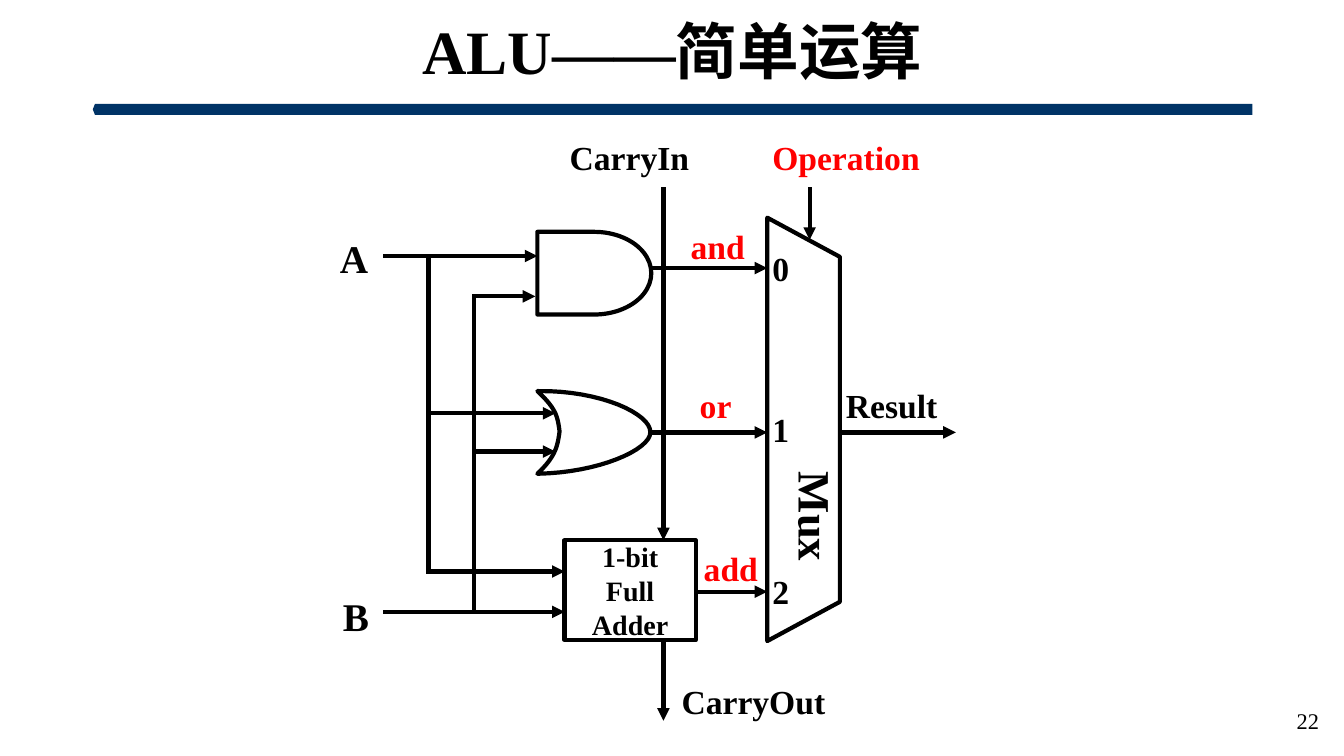
"""Build the slide that shows a one-bit ALU for simple operations."""
from lxml import etree
from pptx import Presentation, util as u
from pptx.dml.color import RGBColor
from pptx.enum import shapes, text
from pptx.oxml.ns import qn

PX = 9144
FONT = "Times New Roman"
BLACK = RGBColor(0x00, 0x00, 0x00)
WHITE = RGBColor(0xFF, 0xFF, 0xFF)
RED = RGBColor(0xFF, 0x00, 0x00)
NAVY = RGBColor(0x00, 0x33, 0x66)
STROKE = u.Pt(3)
KIND = shapes.MSO_SHAPE
LEFT, CENTER, RIGHT = text.PP_ALIGN.LEFT, text.PP_ALIGN.CENTER, text.PP_ALIGN.RIGHT

TRUNK_A, TRUNK_B = 425, 470
MUX_LEFT, MUX_RIGHT = 761, 833
CARRY_X = 658
OR_START = (533, 388)
OR_CURVES = [
    [(596, 387), (646, 411), (645, 429)],
    [(645, 446), (594, 469), (533, 470)],
    [(551, 453), (553, 443), (555, 428)],
    [(553, 412), (551, 405), (533, 388)],
]
ARROWS = [
    (380, 254, 533, 254),
    (380, 607, 560, 607),
    (TRUNK_A, 410, 551, 410),
    (TRUNK_A, 567, 560, 567),
    (TRUNK_B, 448, 551, 448),
    (TRUNK_B, 294, 531, 294),
    (CARRY_X, 186, CARRY_X, 536),
    (CARRY_X, 635, CARRY_X, 715),
    (645, 266, MUX_LEFT, 266),
    (645, 429, MUX_LEFT, 429),
    (690, 587, MUX_LEFT, 587),
    (MUX_RIGHT, 429, 948, 429),
    (803, 186, 803, 238),
]
LABELS = [
    ("CarryIn", 565, 136, 24, BLACK),
    ("Operation", 766, 136, 24, RED),
    ("and", 685, 224, 24, RED),
    ("or", 694, 382, 24, RED),
    ("add", 698, 544, 24, RED),
    ("Result", 839, 382, 24, BLACK),
    ("CarryOut", 676, 676, 24, BLACK),
    ("A", 337, 232, 28, BLACK),
    ("B", 340, 587, 28, BLACK),
]


def scaled(*lengths):
    """Turn px lengths into EMU."""
    return [u.Emu(round(length * PX)) for length in lengths]


def apply(target, values):
    """Set every attribute named in the dict."""
    for name, value in values.items():
        setattr(target, name, value)


def write(shape, lines, size, color=BLACK, align=LEFT, bold=True, inset=0):
    """Write the lines into a shape, one paragraph each."""
    frame = shape.text_frame
    sides = ("margin_left", "margin_right", "margin_top", "margin_bottom")
    apply(frame, {side: inset * PX for side in sides})
    apply(frame, {"word_wrap": True, "vertical_anchor": text.MSO_ANCHOR.MIDDLE})
    for index, line in enumerate(lines):
        para = frame.add_paragraph() if index else frame.paragraphs[0]
        para.alignment = align
        span = para.add_run()
        span.text = line
        apply(span.font, {"name": FONT, "size": u.Pt(size), "bold": bold})
        span.font.color.rgb = color
    return frame


def add_text(page, box, lines, size, **style):
    """Add a text box and return its frame."""
    return write(page.shapes.add_textbox(*scaled(*box)), lines, size, **style)


def outline(shape):
    """Give a shape the white fill and black outline of the circuit."""
    shape.shadow.inherit = False
    shape.fill.solid()
    shape.fill.fore_color.rgb = WHITE
    shape.line.color.rgb = BLACK
    shape.line.width = STROKE


def add_block(page, kind, box):
    """Add an outlined preset shape."""
    block = page.shapes.add_shape(kind, *scaled(*box))
    outline(block)
    return block


def add_wire(page, ends, arrow=True):
    """Add a straight wire, with an arrowhead or with square ends."""
    wire = page.shapes.add_connector(shapes.MSO_CONNECTOR.STRAIGHT, *scaled(*ends))
    wire.line.color.rgb = BLACK
    wire.line.width = STROKE
    stroke = wire.line._get_or_add_ln()
    if arrow:
        etree.SubElement(stroke, qn("a:tailEnd"), type="triangle")
    else:
        stroke.set("cap", "sq")
    etree.SubElement(wire._element.spPr, qn("a:effectLst"))


def curve_points(start, curves, steps=16):
    """Return points along a chain of cubic curves."""
    points = []
    for first, second, end in curves:
        for step in range(1, steps + 1):
            t = step / steps
            weights = ((1 - t) ** 3, 3 * t * (1 - t) ** 2, 3 * t * t * (1 - t), t ** 3)
            corners = (start, first, second, end)
            points.append(scaled(*(
                sum(weight * corner[axis] for weight, corner in zip(weights, corners))
                for axis in (0, 1))))
        start = end
    return points


def add_or_gate(page):
    """Add the curved OR gate."""
    builder = page.shapes.build_freeform(*scaled(*OR_START))
    builder.add_line_segments(curve_points(OR_START, OR_CURVES), close=True)
    outline(builder.convert_to_shape())


def add_mux(page):
    """Add the multiplexer with its input numbers and name."""
    mux = add_block(page, KIND.TRAPEZOID, (587, 390, 420, 72))
    mux.rotation = 90
    mux.adjustments[0] = 0.54
    for index in range(3):
        add_text(page, (766, 246 + 160 * index, 30, 40), [str(index)], 24)
    frame = add_text(page, (783, 468, 54, 110), ["Mux"], 32)
    frame._txBody.bodyPr.set("vert", "eaVert")


def add_header(page):
    """Add the title, the bar under it and the page number."""
    bar = page.shapes.add_shape(KIND.PENTAGON, *scaled(92, 103, 1150, 11))
    bar.shadow.inherit = False
    bar.rotation = 180
    bar.adjustments[0] = 0.2
    bar.fill.solid()
    bar.fill.fore_color.rgb = NAVY
    bar.line.fill.background()
    title = add_text(page, (92, 13, 1150, 82), ["ALU——简单运算"], 44, align=CENTER)
    title.paragraphs[0].line_spacing = 0.9
    add_text(page, (1018, 695, 300, 40), ["22"], 16, align=RIGHT, bold=False, inset=10)


def main():
    """Build and save the deck."""
    deck = Presentation()
    deck.slide_width, deck.slide_height = scaled(1333, 750)
    page = deck.slides.add_slide(deck.slide_layouts[6])
    add_header(page)
    add_block(page, KIND.FLOWCHART_DELAY, (533, 230, 113, 82))
    add_or_gate(page)
    adder = add_block(page, KIND.RECTANGLE, (560, 536, 130, 99))
    write(adder, ["1-bit", "Full", "Adder"], 20, align=CENTER)
    add_wire(page, (TRUNK_A, 254, TRUNK_A, 567), arrow=False)
    add_wire(page, (TRUNK_B, 294, TRUNK_B, 607), arrow=False)
    for ends in ARROWS:
        add_wire(page, ends)
    add_mux(page)
    for label, left, top, size, color in LABELS:
        width, height = (160, 40) if size == 24 else (43, 47)
        add_text(page, (left, top, width, height), [label], size, color=color)
    deck.save("out.pptx")


if __name__ == "__main__":
    main()
